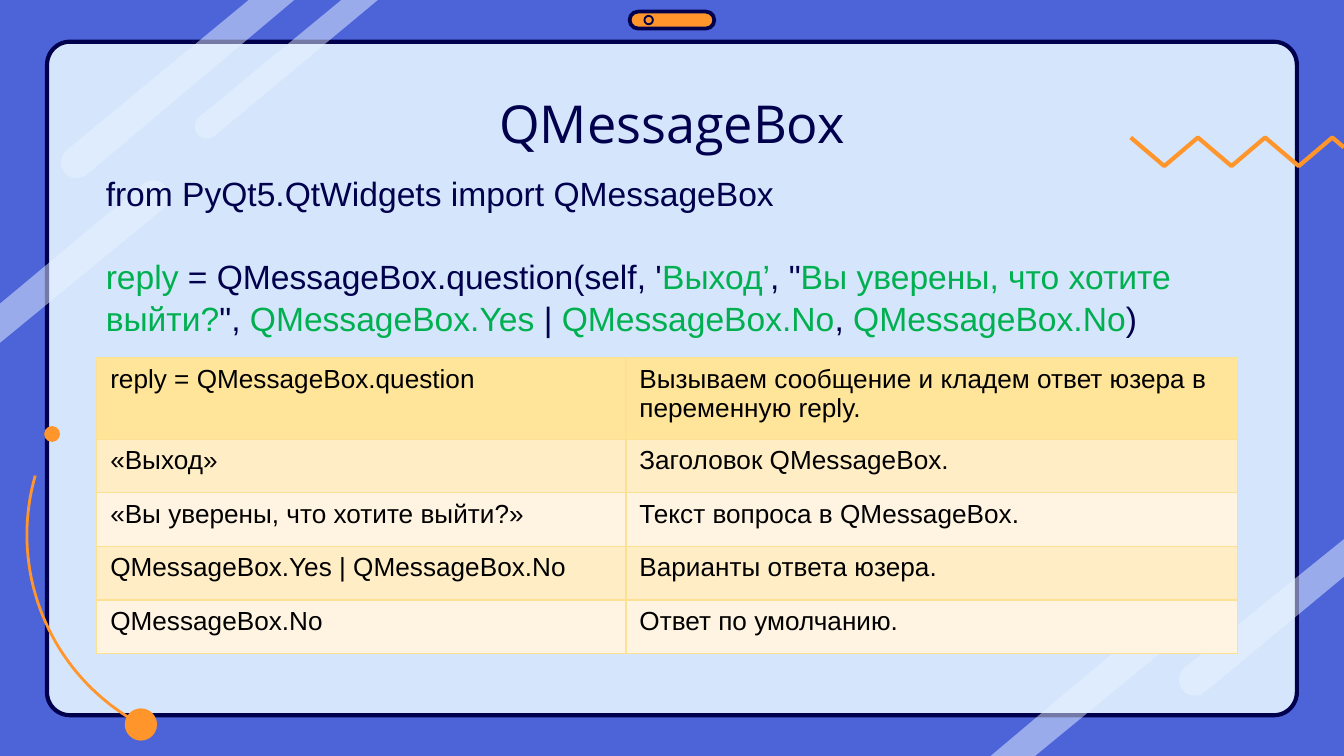
import math

import lxml.etree
import pptx
import pptx.dml.color
import pptx.enum.shapes
import pptx.enum.text
import pptx.oxml.ns
import pptx.util

Cm, Pt = pptx.util.Cm, pptx.util.Pt
RGBColor = pptx.dml.color.RGBColor
MSO_SHAPE = pptx.enum.shapes.MSO_SHAPE
qn = pptx.oxml.ns.qn

BLUE = RGBColor(0x4C, 0x64, 0xD8)
PALE = RGBColor(0xD5, 0xE6, 0xFC)
GLARE = RGBColor(0xE9, 0xF3, 0xFF)
NAVY = RGBColor(0x00, 0x00, 0x4D)
ORANGE = RGBColor(0xFF, 0x95, 0x2B)
GREEN = RGBColor(0x00, 0xB0, 0x50)
BLACK = RGBColor(0x00, 0x00, 0x00)
HEADER = RGBColor(0xFF, 0xE5, 0x99)
BAND = RGBColor(0xFF, 0xEE, 0xC5)
CREAM = RGBColor(0xFF, 0xF4, 0xE1)
BORDER = RGBColor(0xFC, 0xE1, 0x93)

STRIPES = [
    ((1.45, 3.07), 0.3, 50, [(4.7, 0), (5.56, 0)]),
    ((3.91, 2.39), 0.23, 50, [(6.45, 0), (7.14, 0)]),
    ((23.01, 11.07), 0.3, 230, [(19.56, 14.29), (18.72, 14.29)]),
    ((22.58, 12.85), 0.3, 50, [(25.4, 10.19), (25.4, 10.9)]),
    ((2.9, 3.71), 0.3, 230, [(0, 6.48), (0, 5.74)]),
]
CODE = [
    [("from PyQt5.QtWidgets import QMessageBox", NAVY)],
    [
        ("reply", GREEN),
        (" = QMessageBox.question(self, '", NAVY),
        ("Выход’", GREEN),
        (", \"", NAVY),
        ("Вы уверены, что хотите выйти?", GREEN),
        ("\", ", NAVY),
        ("QMessageBox.Yes", GREEN),
        (" | ", NAVY),
        ("QMessageBox.No", GREEN),
        (", ", NAVY),
        ("QMessageBox.No", GREEN),
        (")", NAVY),
    ],
]
ROWS = [
    ("reply = QMessageBox.question", "Вызываем сообщение и кладем ответ юзера в переменную reply."),
    ("«Выход»", "Заголовок QMessageBox."),
    ("«Вы уверены, что хотите выйти?»", "Текст вопроса в QMessageBox."),
    ("QMessageBox.Yes | QMessageBox.No", "Варианты ответа юзера."),
    ("QMessageBox.No", "Ответ по умолчанию."),
]


def style(sp, fill=None, line=None, width=1):
    """Give a shape its fill and line, without a shadow."""
    sp.shadow.inherit = False
    if fill is None:
        sp.fill.background()
    else:
        sp.fill.solid()
        sp.fill.fore_color.rgb = fill
    if line is None:
        sp.line.fill.background()
    else:
        sp.line.color.rgb = line
        sp.line.width = Pt(width)
    return sp


def add_preset(s, kind, x, y, w, h, **look):
    """Add a styled preset shape, measured in centimetres."""
    return style(s.shapes.add_shape(kind, Cm(x), Cm(y), Cm(w), Cm(h)), **look)


def add_path(s, points, close, **look):
    """Add a styled outline through points in centimetres."""
    emu = [(Cm(x), Cm(y)) for x, y in points]
    fb = s.shapes.build_freeform(*emu[0], scale=1.0)
    fb.add_line_segments(emu[1:], close=close)
    return style(fb.convert_to_shape(), **look)


def arc(cx, cy, radius, start, end, step):
    """Return points along a circular arc given in degrees."""
    angles = [math.radians(a) for a in range(start, end + 1, step)]
    return [(cx + radius * math.cos(a), cy + radius * math.sin(a)) for a in angles]


def add_text(s, x, y, w, h, inset):
    """Add a wrapping text box with equal insets and return its frame."""
    tf = s.shapes.add_textbox(Cm(x), Cm(y), Cm(w), Cm(h)).text_frame
    tf.word_wrap = True
    tf.margin_left = tf.margin_right = tf.margin_top = tf.margin_bottom = Cm(inset)
    return tf


def add_card(s, x, y, w, h):
    """Draw the rounded panel."""
    sp = add_preset(s, MSO_SHAPE.ROUNDED_RECTANGLE, x, y, w, h, fill=PALE, line=NAVY, width=2.25)
    sp.adjustments[0] = 0.034


def add_glare(s, x, y):
    """Draw the translucent diagonal stripes from a corner of the slide."""
    for (cx, cy), radius, start, edge in STRIPES:
        points = arc(cx, cy, radius, start, start + 180, 15) + edge
        sp = add_path(s, [(x + px, y + py) for px, py in points], True, fill=GLARE)
        color = next(sp._element.spPr.iter(qn("a:srgbClr")))
        lxml.etree.SubElement(color, qn("a:alpha"), val="50000")


def add_camera(s, x, y, w, h):
    """Draw the orange pill with its round lens."""
    pill = add_preset(s, MSO_SHAPE.ROUNDED_RECTANGLE, x, y, w, h, fill=ORANGE, line=NAVY, width=2)
    pill.adjustments[0] = 0.5
    d = h / 2
    add_preset(s, MSO_SHAPE.OVAL, x + 0.28, y + (h - d) / 2, d, d, line=NAVY)


def add_orbit(s, x, y, size):
    """Draw the orange arc and its two dots on a circle in a square box."""
    radius = size / 2
    cx, cy = x + radius, y + radius
    add_path(s, arc(cx, cy, radius, 118, 196, 2), False, line=ORANGE, width=1.5)
    for angle, d in ((118, 0.61), (208, 0.3)):
        px, py = arc(cx, cy, radius, angle, angle, 1)[0]
        add_preset(s, MSO_SHAPE.OVAL, px - d / 2, py - d / 2, d, d, fill=ORANGE)


def add_zigzag(s, x, y, w, h):
    """Draw the orange zigzag, cut off at the right end of its box."""
    step = 0.635
    count = int(w / step)
    points = [(x + i * step, y + h * (i % 2)) for i in range(count + 1)]
    rest = w / step - count
    points.append((x + w, y + h * (rest if count % 2 == 0 else 1 - rest)))
    add_path(s, points, False, line=ORANGE, width=2.25)


def add_title(s, x, y, w, h):
    """Write the centred title."""
    p = add_text(s, x, y, w, h, 0.25).paragraphs[0]
    p.text = "QMessageBox"
    p.alignment = pptx.enum.text.PP_ALIGN.CENTER
    p.font.name, p.font.size = "Open Sans", Pt(28)
    p.font.color.rgb = NAVY


def add_code(s, x, y, w, h):
    """Write the code example with its highlighted parts."""
    tf = add_text(s, x, y, w, h, 0)
    for i, runs in enumerate(CODE):
        p = tf.add_paragraph() if i else tf.paragraphs[0]
        p.font.name, p.font.size = "Arial", Pt(18)
        p.line_spacing = 1.05
        p.space_before = Pt(21.7 * i)
        for text, color in runs:
            r = p.add_run()
            r.text = text
            r.font.color.rgb = color


def add_borders(cell):
    """Put a thin line on all four sides of a cell."""
    tc_pr = cell._tc.get_or_add_tcPr()
    for i, side in enumerate("LRTB"):
        ln = lxml.etree.Element(qn(f"a:ln{side}"), w=str(Pt(0.75)))
        fill = lxml.etree.SubElement(ln, qn("a:solidFill"))
        lxml.etree.SubElement(fill, qn("a:srgbClr"), val=str(BORDER))
        tc_pr.insert(i, ln)


def add_parameters(s, x, y, w, h):
    """Build the table that explains each argument."""
    table = s.shapes.add_table(len(ROWS), 2, Cm(x), Cm(y), Cm(w), Cm(h)).table
    table.first_row = table.horz_banding = False
    table.columns[0].width, table.columns[1].width = Cm(10), Cm(w - 10)
    head = 1.54
    for i, texts in enumerate(ROWS):
        table.rows[i].height = Cm(head if i == 0 else (h - head) / (len(ROWS) - 1))
        for j, text in enumerate(texts):
            cell = table.cell(i, j)
            cell.fill.solid()
            cell.fill.fore_color.rgb = HEADER if i == 0 else BAND if i % 2 else CREAM
            add_borders(cell)
            p = cell.text_frame.paragraphs[0]
            p.text = text
            p.font.name, p.font.size = "Arial", Pt(14)
            p.font.color.rgb = BLACK


def main():
    """Build the slide and save it."""
    prs = pptx.Presentation()
    prs.slide_width, prs.slide_height = Cm(25.4), Cm(14.29)
    s = prs.slides.add_slide(prs.slide_layouts[6])
    s.background.fill.solid()
    s.background.fill.fore_color.rgb = BLUE
    add_card(s, 0.89, 0.79, 23.62, 12.73)
    add_glare(s, 0, 0)
    add_camera(s, 11.9, 0.22, 1.6, 0.32)
    add_orbit(s, 0.51, 6.05, 8.12)
    add_zigzag(s, 21.37, 2.6, 4.03, 0.54)
    add_title(s, 2, 1.47, 21.4, 1.6)
    add_code(s, 2, 3.23, 21.72, 3.53)
    add_parameters(s, 1.83, 6.76, 21.56, 5.6)
    prs.save("out.pptx")


if __name__ == "__main__":
    main()
